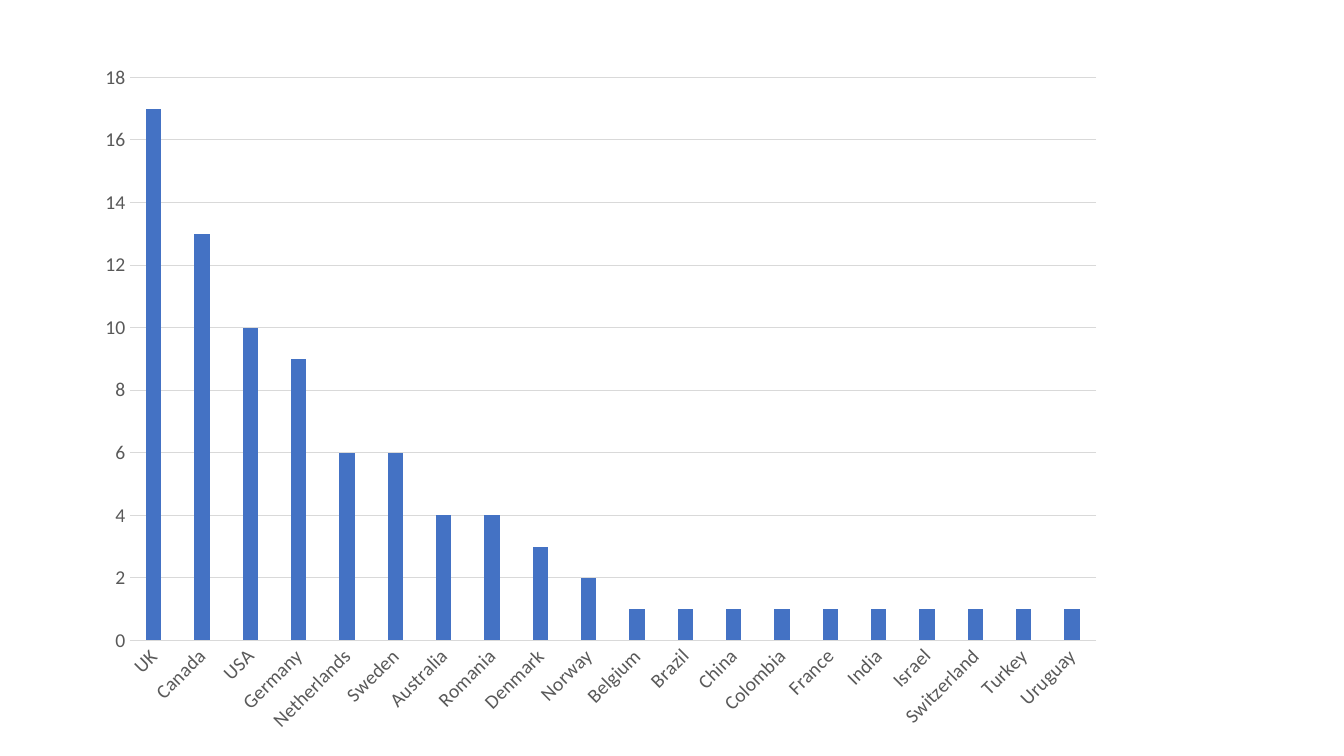
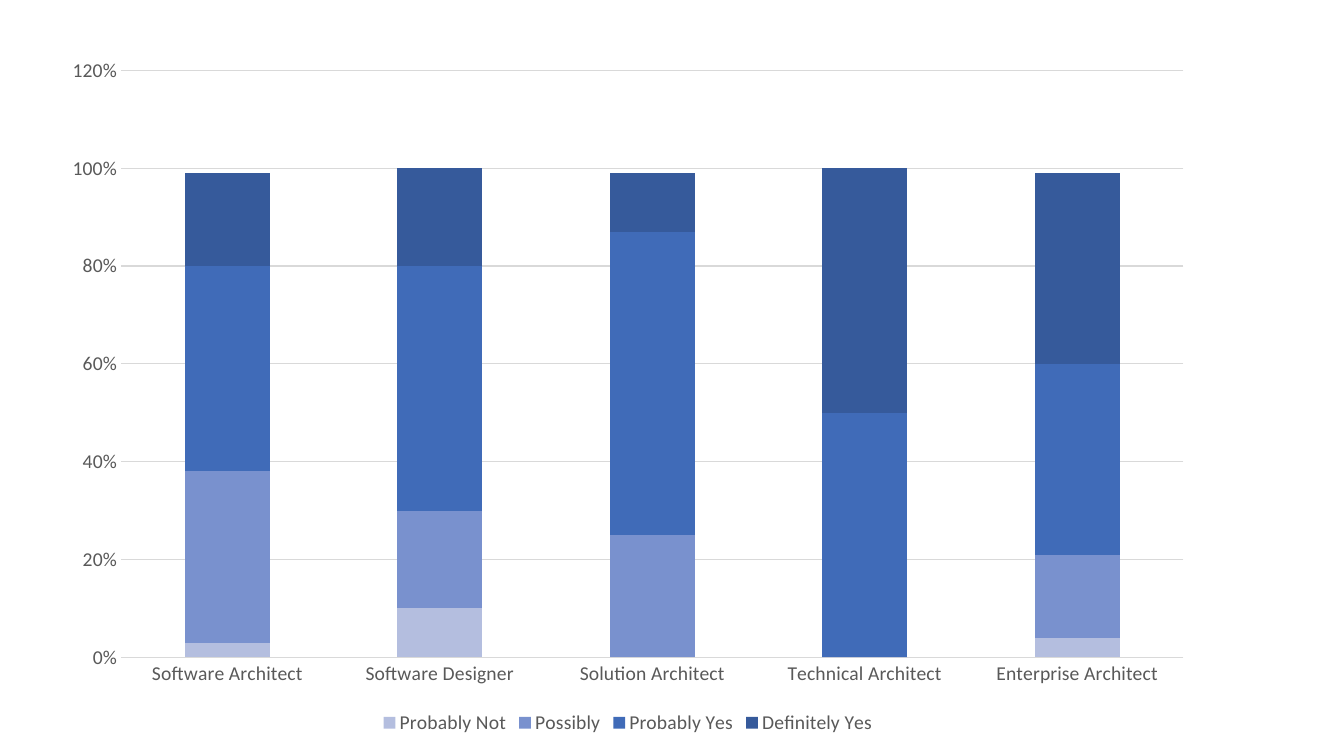
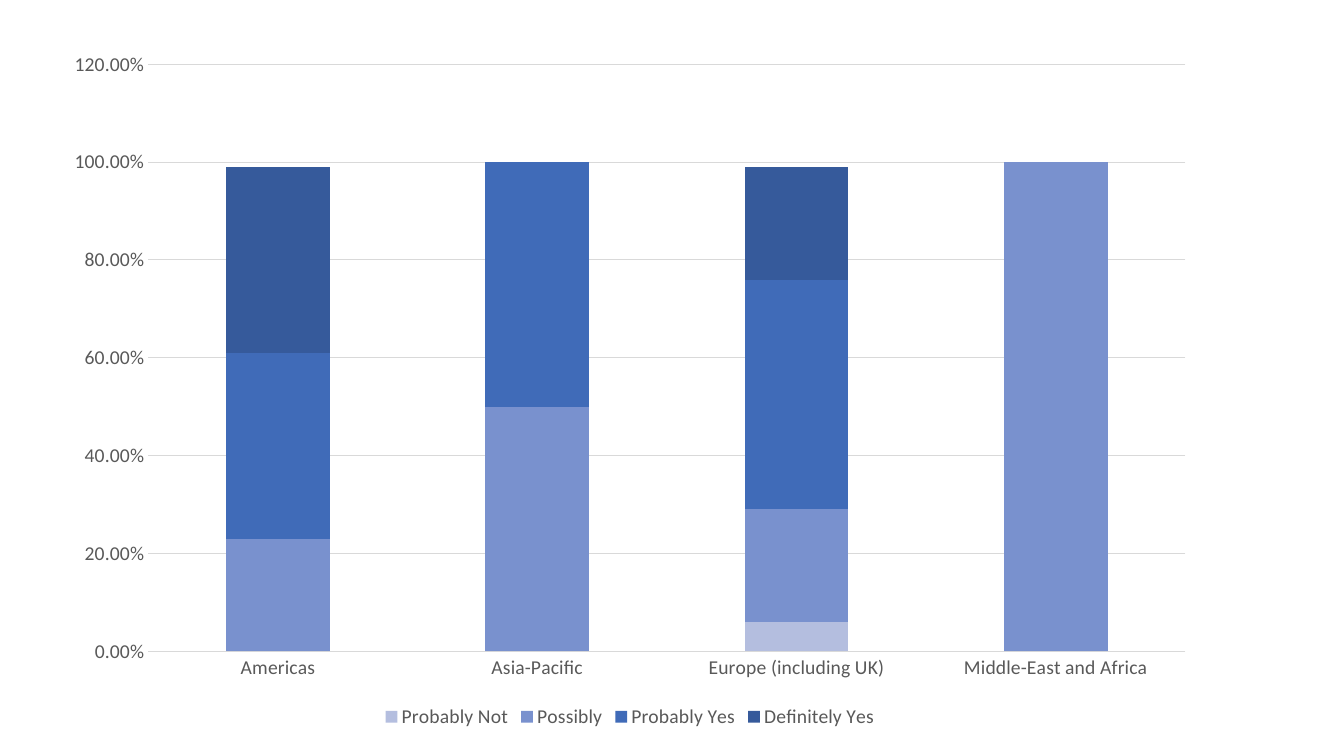
from dataclasses import dataclass

import pptx
import pptx.chart.chart
import pptx.chart.data
import pptx.dml.color
import pptx.enum.chart
import pptx.text.text
import pptx.util


@dataclass(frozen=True)
class Theme:
    font: str = "Calibri"
    size: float = 14
    text: str = "595959"
    rule: str = "D9D9D9"
    rule_width: float = 0.75
    accent: str = "4472C4"
    answers: tuple[str, ...] = ("B4BEDF", "7991CE", "406BB8", "365A9B")


@dataclass(frozen=True)
class Series:
    name: str
    values: tuple[float, ...]
    color: str


@dataclass(frozen=True)
class ColumnChart:
    left: float
    top: float
    width: float
    categories: tuple[str, ...]
    series: tuple[Series, ...]
    maximum: float
    step: float
    height: float = 496.08
    stacked: bool = True
    gap: int = 150
    overlap: int = 100
    number_format: str = "General"
    label_angle: int = 0


THEME = Theme()
ANSWERS = ("Probably Not", "Possibly", "Probably Yes", "Definitely Yes")


def answer_series(*rows: tuple[float, ...]) -> tuple[Series, ...]:
    """Pair each row of shares with its answer and shade."""
    return tuple(map(Series, ANSWERS, rows, THEME.answers))


def rgb(color: str) -> pptx.dml.color.RGBColor:
    return pptx.dml.color.RGBColor.from_string(color)


def style_font(font: pptx.text.text.Font) -> None:
    font.name = THEME.font
    font.size = pptx.util.Pt(THEME.size)
    font.color.rgb = rgb(THEME.text)


def style_rule(line) -> None:
    line.color.rgb = rgb(THEME.rule)
    line.width = pptx.util.Pt(THEME.rule_width)


def style_axes(chart: pptx.chart.chart.Chart, spec_chart: ColumnChart) -> None:
    for axis in (chart.category_axis, chart.value_axis):
        axis.major_tick_mark = pptx.enum.chart.XL_TICK_MARK.NONE
        axis.minor_tick_mark = pptx.enum.chart.XL_TICK_MARK.NONE
        style_font(axis.tick_labels.font)

    # Category axis: thin baseline and optional slanted labels
    style_rule(chart.category_axis.format.line)
    if spec_chart.label_angle:
        for body in chart.element.xpath(".//c:catAx/c:txPr/a:bodyPr"):
            body.set("rot", str(spec_chart.label_angle * 60000))
            body.set("vert", "horz")

    # Value axis: gridlines only
    value_axis = chart.value_axis
    value_axis.minimum_scale = 0
    value_axis.maximum_scale = spec_chart.maximum
    value_axis.major_unit = spec_chart.step
    value_axis.format.line.fill.background()
    value_axis.has_major_gridlines = True
    style_rule(value_axis.major_gridlines.format.line)
    value_axis.tick_labels.number_format = spec_chart.number_format
    value_axis.tick_labels.number_format_is_linked = False


def draw_chart(page, column_chart: ColumnChart) -> None:
    data = pptx.chart.data.CategoryChartData(number_format=column_chart.number_format)
    data.categories = column_chart.categories
    for series in column_chart.series:
        data.add_series(series.name, series.values)

    kinds = pptx.enum.chart.XL_CHART_TYPE
    frame = page.shapes.add_chart(
        kinds.COLUMN_STACKED if column_chart.stacked else kinds.COLUMN_CLUSTERED,
        pptx.util.Pt(column_chart.left),
        pptx.util.Pt(column_chart.top),
        pptx.util.Pt(column_chart.width),
        pptx.util.Pt(column_chart.height),
        data,
    )
    chart = frame.chart
    chart.has_title = False
    style_font(chart.font)
    style_axes(chart, column_chart)

    # Columns
    plot = chart.plots[0]
    plot.gap_width = column_chart.gap
    plot.overlap = column_chart.overlap
    plot.vary_by_categories = False
    for drawn, series in zip(plot.series, column_chart.series):
        drawn.format.fill.solid()
        drawn.format.fill.fore_color.rgb = rgb(series.color)
        drawn.invert_if_negative = False

    # Legend
    chart.has_legend = column_chart.stacked
    if chart.has_legend:
        chart.legend.position = pptx.enum.chart.XL_LEGEND_POSITION.BOTTOM
        chart.legend.include_in_layout = False
        style_font(chart.legend.font)


COUNTRIES = {
    "UK": 17, "Canada": 13, "USA": 10, "Germany": 9, "Netherlands": 6,
    "Sweden": 6, "Australia": 4, "Romania": 4, "Denmark": 3, "Norway": 2,
    "Belgium": 1, "Brazil": 1, "China": 1, "Colombia": 1, "France": 1,
    "India": 1, "Israel": 1, "Switzerland": 1, "Turkey": 1, "Uruguay": 1,
}

CHARTS = (
    # Respondents by country
    ColumnChart(
        left=60.48, top=36.72, width=737.28,
        categories=tuple(COUNTRIES),
        series=(Series("Series 1", tuple(COUNTRIES.values()), THEME.accent),),
        maximum=18, step=2, stacked=False, gap=219, overlap=-27, label_angle=-45,
    ),
    # Answers by role
    ColumnChart(
        left=35.28, top=31.68, width=826.56,
        categories=(
            "Software Architect", "Software Designer", "Solution Architect",
            "Technical Architect", "Enterprise Architect",
        ),
        series=answer_series(
            (0.03, 0.1, 0, 0, 0.04),
            (0.35, 0.2, 0.25, 0, 0.17),
            (0.42, 0.5, 0.62, 0.5, 0.39),
            (0.19, 0.2, 0.12, 0.5, 0.39),
        ),
        maximum=1.2, step=0.2, number_format="0%",
    ),
    # Answers by region
    ColumnChart(
        left=36.72, top=27.36, width=826.56,
        categories=(
            "Americas", "Asia-Pacific", "Europe (including UK)",
            "Middle-East and Africa",
        ),
        series=answer_series(
            (0, 0, 0.06, 0),
            (0.23, 0.5, 0.23, 1),
            (0.38, 0.5, 0.47, 0),
            (0.38, 0, 0.23, 0),
        ),
        maximum=1.2, step=0.2, number_format="0.00%",
    ),
)


def main() -> None:
    deck = pptx.Presentation()
    deck.slide_width = pptx.util.Pt(960)
    deck.slide_height = pptx.util.Pt(540)
    blank = deck.slide_layouts[6]
    for column_chart in CHARTS:
        draw_chart(deck.slides.add_slide(blank), column_chart)
    deck.save("out.pptx")


main()
